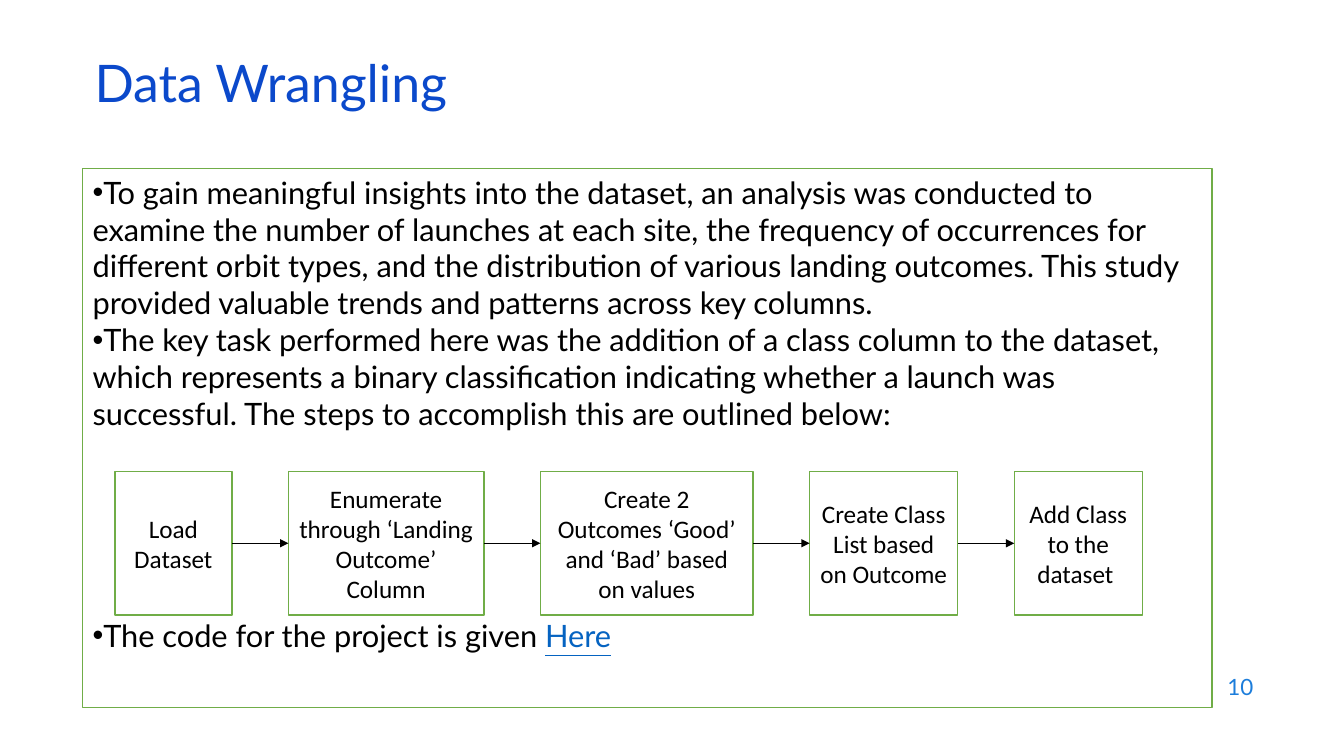
from lxml import etree
from pptx import Presentation
from pptx.dml.color import RGBColor
from pptx.enum import shapes, text
from pptx.oxml.ns import qn
from pptx.util import Inches, Pt

BLACK, WHITE, GREEN = "000000", "FFFFFF", "70AD47"
BULLETS = [
    "To gain meaningful insights into the dataset, an analysis was conducted to examine the number "
    "of launches at each site, the frequency of occurrences for different orbit types, and the "
    "distribution of various landing outcomes. This study provided valuable trends and patterns "
    "across key columns.",
    "The key task performed here was the addition of a class column to the dataset, which represents "
    "a binary classification indicating whether a launch was successful. The steps to accomplish "
    "this are outlined below:",
    "The code for the project is given ",
]
STEPS = [  # label, width
    ("Load Dataset", 1.16),
    ("Enumerate through ‘Landing Outcome’ Column", 1.94),
    ("Create 2 Outcomes ‘Good’ and ‘Bad’ based on values", 2.11),
    ("Create Class List based on Outcome", 1.47),
    ("Add Class to the dataset ", 1.27),
]
STEP_GAP = 0.56


def color(value):
    return RGBColor.from_string(value)


def add_run(paragraph, words, hue, **formats):
    run = paragraph.add_run()
    run.text = words
    run.font.color.rgb = color(hue)
    for name, value in formats.items():
        setattr(run.font, name, value)


def format_paragraph(paragraph, **formats):
    for name, value in formats.items():
        setattr(paragraph, name, value)


def add_textbox(slide, left, top, width, height):
    box = slide.shapes.add_textbox(*map(Inches, (left, top, width, height)))
    box.text_frame.word_wrap = True
    box.text_frame.vertical_anchor = text.MSO_ANCHOR.MIDDLE
    return box.text_frame.paragraphs[0]


def add_outlined_box(slide, left, top, width, height, anchor):
    box = slide.shapes.add_shape(shapes.MSO_SHAPE.RECTANGLE,
                                 *map(Inches, (left, top, width, height)))
    box.shadow.inherit = False
    box.fill.solid()
    box.fill.fore_color.rgb = color(WHITE)
    box.line.color.rgb = color(GREEN)
    box.line.width = Pt(1)
    box.text_frame.word_wrap = True
    box.text_frame.vertical_anchor = anchor
    return box


def add_arrow(slide, start, end):
    arrow = slide.shapes.add_connector(shapes.MSO_CONNECTOR.STRAIGHT, 0, 0, 0, 0)
    arrow.begin_connect(start, 3)
    arrow.end_connect(end, 1)
    arrow.line.color.rgb = color(BLACK)
    arrow.line.width = Pt(0.5)
    etree.SubElement(arrow.line._get_or_add_ln(), qn("a:tailEnd"), type="triangle")
    etree.SubElement(arrow._element.spPr, qn("a:effectLst"))


def add_title(slide, left, top, width, height):
    paragraph = add_textbox(slide, left, top, width, height)
    format_paragraph(paragraph, line_spacing=0.7)
    add_run(paragraph, "Data Wrangling", "0B49CB", size=Pt(37), name="Lato")


def add_page_number(slide, left, top, width, height):
    paragraph = add_textbox(slide, left, top, width, height)
    format_paragraph(paragraph, alignment=text.PP_ALIGN.RIGHT)
    add_run(paragraph, "10", "1C7DDB", size=Pt(16), name="Lato")


def add_body(slide, left, top, width, height):
    frame = add_outlined_box(slide, left, top, width, height, text.MSO_ANCHOR.TOP).text_frame
    body_font = {"size": Pt(22), "name": "Lato"}
    for index, words in enumerate(BULLETS):
        paragraph = frame.add_paragraph() if index else frame.paragraphs[0]
        format_paragraph(paragraph, alignment=text.PP_ALIGN.LEFT, line_spacing=1.0)
        properties = paragraph._p.get_or_add_pPr()
        etree.SubElement(properties, qn("a:buFont"), typeface="Arial")
        etree.SubElement(properties, qn("a:buChar"), char="•")
        add_run(paragraph, words, BLACK, **body_font)
    # The last bullet leaves room for the step boxes
    format_paragraph(paragraph, space_before=Pt(132))
    add_run(paragraph, "Here", "0563C1", underline=True, **body_font)


def add_steps(slide, left, top, height):
    previous = None
    for label, width in STEPS:
        box = add_outlined_box(slide, left, top, width, height, text.MSO_ANCHOR.MIDDLE)
        paragraph = box.text_frame.paragraphs[0]
        format_paragraph(paragraph, alignment=text.PP_ALIGN.CENTER)
        add_run(paragraph, label, BLACK, size=Pt(18), name="Calibri")
        if previous is not None:
            add_arrow(slide, previous, box)
        previous = box
        left += width + STEP_GAP


def main():
    presentation = Presentation()
    presentation.slide_width = Inches(13.33)
    presentation.slide_height = Inches(7.5)
    slide = presentation.slides.add_slide(presentation.slide_layouts[6])
    add_page_number(slide, 9.53, 6.59, 3, 0.44)
    add_body(slide, 0.82, 1.67, 11.2, 5.35)
    add_title(slide, 0.84, 0.59, 11.5, 0.6)
    add_steps(slide, 1.14, 4.68, 1.42)
    presentation.save("out.pptx")


if __name__ == "__main__":
    main()
